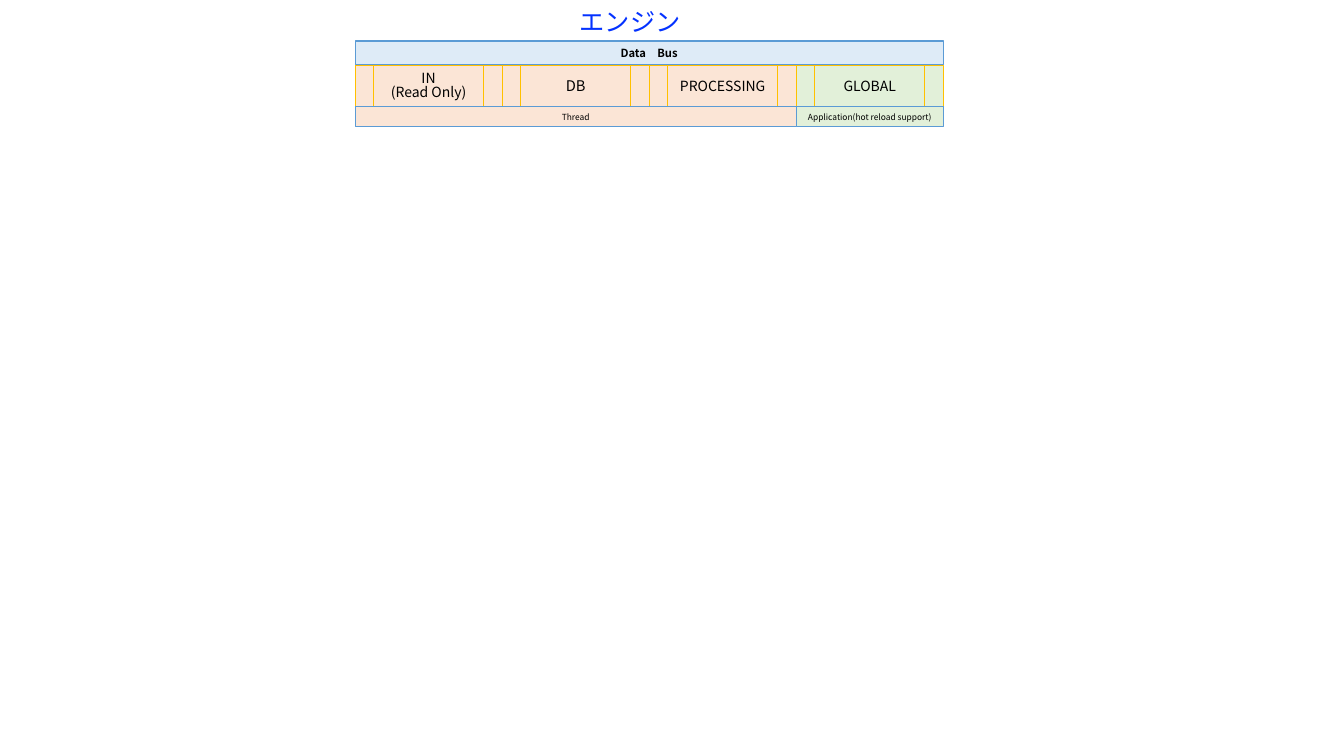
from lxml.etree import SubElement
from pptx import Presentation
from pptx.dml.color import RGBColor
from pptx.enum.shapes import MSO_SHAPE
from pptx.enum.text import MSO_ANCHOR, PP_ALIGN
from pptx.oxml.ns import qn
from pptx.util import Inches, Pt

FONT = "Noto Sans CJK JP"
COLORS = {
    "title": "0432FF", "text": "000000", "bus": "DEEBF7",
    "thread": "FBE5D6", "application": "E2F0D9",
    "bar_line": "5B9BD5", "store_line": "FFC000",
}
TITLE = "エンジン"
BUS = "Data\u2003Bus"
STORES = [
    (["IN", "(Read Only)"], 10, "thread"),
    (["DB"], 10.5, "thread"),
    (["PROCESSING"], 10, "thread"),
    (["GLOBAL"], 10, "application"),
]
SCOPES = [
    ("Thread", "thread"),
    ("Application(hot reload support)", "application"),
]

PX = Inches(1) / 100.8
LEFT, STORE_WIDTH = 355, 147
BUS_TOP, STORE_TOP, SCOPE_TOP, BOTTOM = 41, 65, 107, 127


def px(*lengths):
    return [round(length * PX) for length in lengths]


def color(name):
    return RGBColor.from_string(COLORS[name])


def write(holder, lines, size, ink="text", bold=False):
    frame = holder.text_frame
    frame.text = "\n".join(lines)
    frame.vertical_anchor = MSO_ANCHOR.MIDDLE
    frame.margin_left = frame.margin_right = 0
    frame.margin_top = frame.margin_bottom = 0
    for paragraph in frame.paragraphs:
        paragraph.alignment = PP_ALIGN.CENTER
        if len(lines) > 1:
            paragraph.line_spacing = 0.85
        font = paragraph.font
        font.name, font.size, font.bold = FONT, Pt(size), bold
        font.color.rgb = color(ink)
        props = paragraph._p.get_or_add_pPr().find(qn("a:defRPr"))
        SubElement(props, qn("a:ea")).set("typeface", FONT)
        for run in paragraph.runs:
            run.font.name, run.font.size, run.font.bold = FONT, Pt(size), bold
            run.font.color.rgb = color(ink)
            SubElement(run._r.get_or_add_rPr(), qn("a:ea")).set("typeface", FONT)


def add_block(preset, box, fill, line, line_width, lines, size, bold=False):
    block = slide.shapes.add_shape(preset, *px(*box))
    block.shadow.inherit = False
    block.fill.solid()
    block.fill.fore_color.rgb = color(fill)
    block.line.color.rgb = color(line)
    block.line.width = Pt(line_width)
    block.text_frame.word_wrap = True
    write(block, lines, size, bold=bold)


def add_bar(box, fill, label, size, bold=False):
    add_block(MSO_SHAPE.RECTANGLE, box, fill, "bar_line", 0.75, [label], size, bold)


prs = Presentation()
prs.slide_width, prs.slide_height = Inches(13.33), Inches(7.5)
slide = prs.slides.add_slide(prs.slide_layouts[6])

title = slide.shapes.add_textbox(*px(569, 1, 122, 40))
title.text_frame.word_wrap = False
write(title, [TITLE], 18, "title")

add_bar((LEFT, BUS_TOP, STORE_WIDTH * len(STORES), STORE_TOP - BUS_TOP), "bus", BUS, 8, True)

for column, (lines, size, scope) in enumerate(STORES):
    box = (LEFT + column * STORE_WIDTH, STORE_TOP, STORE_WIDTH, SCOPE_TOP - STORE_TOP)
    add_block(MSO_SHAPE.FLOWCHART_PREDEFINED_PROCESS, box, scope, "store_line", 0.5, lines, size)

scope_left = LEFT
for label, scope in SCOPES:
    width = STORE_WIDTH * sum(store[2] == scope for store in STORES)
    add_bar((scope_left, SCOPE_TOP, width, BOTTOM - SCOPE_TOP), scope, label, 6)
    scope_left += width

prs.save("out.pptx")
